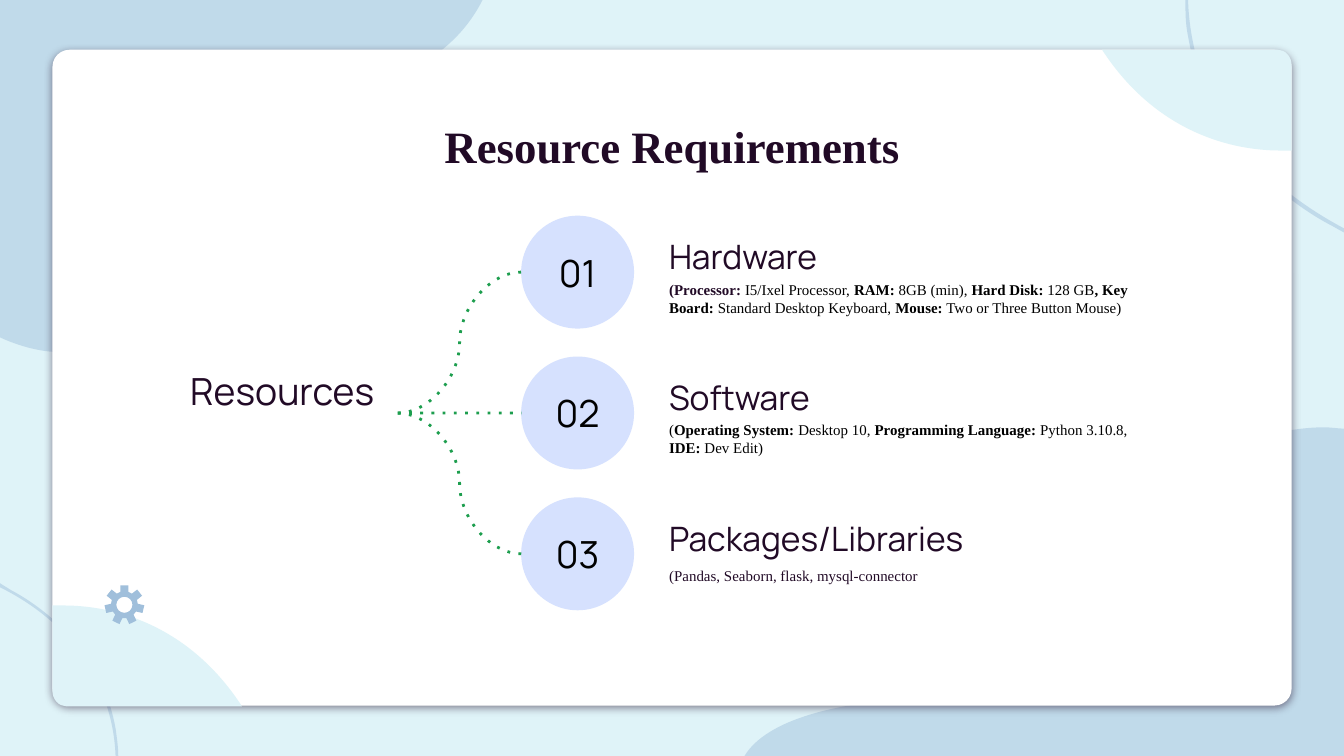
from math import cos, pi, sin
from lxml.etree import SubElement
from pptx import Presentation
from pptx.dml.color import RGBColor
from pptx.enum.shapes import MSO_CONNECTOR, MSO_SHAPE as SHAPE
from pptx.enum.text import MSO_ANCHOR as ANCHOR, PP_ALIGN as ALIGN
from pptx.oxml.ns import qn
from pptx.util import Inches, Pt

ICE = RGBColor(0xDF, 0xF3, 0xF8)
STEEL = RGBColor(0xA0, 0xBF, 0xDB)
WHITE = RGBColor(0xFF, 0xFF, 0xFF)
BLACK = RGBColor(0x00, 0x00, 0x00)
PLUM = RGBColor(0x21, 0x0A, 0x26)
LAVENDER = RGBColor(0xD6, 0xE1, 0xFE)
GREEN = RGBColor(0x1D, 0x9E, 0x4E)
SANS, SERIF = "Manrope", "Times New Roman"

prs = Presentation()
prs.slide_width, prs.slide_height = Inches(10), Inches(5.625)
CELL = prs.slide_width / 100  # square grid: 100 columns by 56.25 rows
BOTTOM = 56.25
slide = prs.slides.add_slide(prs.slide_layouts[6])
slide.background.fill.solid()
slide.background.fill.fore_color.rgb = ICE
shapes = slide.shapes


def write_text(text, box=None, shape=None, font=SANS, size=20, color=PLUM, lead_color=None,
               align=ALIGN.LEFT, anchor=ANCHOR.TOP, spacing=None):
    """Fill a shape, or a new text box, with text; ** switches bold on and off."""
    shape = shape or shapes.add_textbox(*[round(v * CELL) for v in box])
    frame = shape.text_frame
    frame.word_wrap, frame.vertical_anchor = True, anchor
    frame.margin_left = frame.margin_right = round(CELL)
    frame.margin_top = frame.margin_bottom = round(CELL)
    line = frame.paragraphs[0]
    line.alignment, line.line_spacing = align, spacing
    for i, part in enumerate(text.split("**")):
        if part:
            run = line.add_run()
            run.text = part
            run.font.name, run.font.size = font, Pt(size)
            run.font.bold, run.font.color.rgb = i % 2 == 1, color
    line.runs[0].font.color.rgb = lead_color or color


def draw_outline(contours, color, opacity=100):
    """Draw closed contours of points (x, y) and Bezier steps (x1, y1, x2, y2, x, y)."""
    builder = None
    for contour in contours:
        ends = [(step[-2] * CELL, step[-1] * CELL) for step in contour]
        if builder is None:
            builder = shapes.build_freeform(*ends[0], scale=1.0)
        else:
            builder.move_to(*ends[0])
        builder.add_line_segments(ends[1:], close=True)
    outline = builder.convert_to_shape()
    # Turn the straight segments of Bezier steps into true curves
    steps = [step for contour in contours for step in contour[1:]]
    for segment, step in zip(list(outline._element.iter(qn("a:lnTo"))), steps):
        if len(step) == 6:
            segment.tag = qn("a:cubicBezTo")
            for n in (0, 2):
                control = SubElement(segment, qn("a:pt"), x=str(round(step[n] * CELL) - outline.left),
                                     y=str(round(step[n + 1] * CELL) - outline.top))
                segment.insert(n // 2, control)
    outline.shadow.inherit = False
    outline.fill.solid()
    outline.fill.fore_color.rgb = color
    outline.line.fill.background()
    if opacity < 100:
        tint = outline._element.spPr.find(".//" + qn("a:srgbClr"))
        SubElement(tint, qn("a:alpha"), val=str(opacity * 1000))


# Background waves: two thin arcs and two large patches
top_right_arc = [(88.4, 0), (88.5, 3.6, 89.7, 7.3, 91.8, 10.2), (94, 13.1, 96.8, 15.3, 100, 17),
                 (100, 17.3), (99.6, 17.1, 99.3, 16.9, 98.9, 16.7), (96.3, 15.3, 94, 13.3, 92.1, 11),
                 (90.2, 8.6, 88.9, 5.7, 88.4, 2.7), (88.2, 1.8, 88.2, 0.9, 88.2, 0)]
top_left_patch = [(4.5, 26.2), (2.2, 26.2, 0, 25.1, 0, 25.1), (0, 0), (35.9, 0),
                  (31.3, 9.1, 17.1, 7.3, 11.2, 9.1), (5.3, 10.9, 11.8, 19.6, 8.6, 24.2),
                  (7.5, 25.8, 6, 26.2, 4.5, 26.2)]
bottom_right_patch = [(55.4, BOTTOM), (57, 53.6, 62.4, 51.9, 71.2, 51.9), (72.5, 51.9),
                      (85.7, 51.9, 80.1, 40.3, 89.9, 34.2),
                      (92.5, 32.6, 96, 31.8, 98.5, 31.8), (99.1, 31.8, 99.6, 31.9, 100, 31.9),
                      (100, BOTTOM)]
bottom_left_arc = [(8.6, BOTTOM), (8.5, 53.5, 7.6, 50.9, 6, 48.7), (4.5, 46.5, 2.4, 44.9, 0, 43.7),
                   (0, 43.4), (0.3, 43.6, 0.5, 43.7, 0.8, 43.9), (2.7, 44.9, 4.5, 46.4, 5.9, 48.1),
                   (7.3, 49.9, 8.2, 52, 8.6, 54.2), (8.7, 54.9, 8.8, 55.6, 8.8, BOTTOM)]
for wave in (top_right_arc, top_left_patch, bottom_right_patch, bottom_left_arc):
    draw_outline([wave], STEEL, opacity=48)

# White card with a soft shadow
card = shapes.add_shape(SHAPE.ROUNDED_RECTANGLE,
                        *[round(v * CELL) for v in (3.9, 3.7, 92.2, 48.8)])
card.adjustments[0] = 0.026
card.fill.solid()
card.fill.fore_color.rgb = WHITE
card.line.fill.background()
card.shadow.inherit = False
shadow = SubElement(card._element.spPr.find(qn("a:effectLst")), qn("a:outerShdw"),
                    blurRad=str(Pt(4.5)), dist=str(Pt(1.5)), dir="5400000",
                    algn="bl", rotWithShape="0")
shadow_color = SubElement(shadow, qn("a:srgbClr"), val=str(PLUM))
SubElement(shadow_color, qn("a:alpha"), val="50000")

# Card corners: the same curve, turned half round for the lower left
corner = [(82, 3.7), (85.7, 9.4, 91, 11.2, 95.3, 11.2), (95.6, 11.2, 95.8, 11.2, 96.1, 11.2),
          (96.1, 4.8), (96.1, 4.2, 95.6, 3.7, 95.1, 3.7)]
turned_corner = [tuple((100, BOTTOM)[i % 2] - v for i, v in enumerate(step)) for step in corner]
for contour in (turned_corner, corner):
    draw_outline([contour], ICE)

write_text("**Resource Requirements**", box=(7.8, 5.8, 84.4, 7.8), font=SERIF, size=24,
           align=ALIGN.CENTER, spacing=1.5)
write_text("Resources", box=(12.4, 25.9, 17.2, 9.7), align=ALIGN.CENTER, spacing=1.15)

# Numbered resources, each joined to the common label
resources = [
    ("Hardware", "**(Processor: **I5/Ixel Processor, **RAM:** 8GB (min), **Hard Disk: **128 GB"
     "**, Key Board:** Standard Desktop Keyboard, **Mouse:** Two or Three Button Mouse)",
     BLACK, PLUM, 3.8, 37.4, None),
    ("Software", "(**Operating System: **Desktop 10, **Programming Language: **Python 3.10.8, "
     "**IDE: **Dev Edit)", BLACK, BLACK, 3.8, 37.4, None),
    ("Packages/Libraries", "(Pandas, Seaborn, flask, mysql-connector",
     PLUM, PLUM, 4.2, 41.2, 1.15),
]
FIRST_ROW, PITCH, DISC = 16.05, 10.48, 8.4
for i, (heading, detail, color, lead_color, drop, width, spacing) in enumerate(resources):
    top = FIRST_ROW + i * PITCH
    disc = shapes.add_shape(SHAPE.OVAL, *[round(v * CELL) for v in (38.78, top, DISC, DISC)])
    disc.shadow.inherit = False
    disc.fill.solid()
    disc.fill.fore_color.rgb = LAVENDER
    disc.line.fill.background()
    write_text(f"{i + 1:02}", shape=disc, color=BLACK, align=ALIGN.CENTER, anchor=ANCHOR.MIDDLE)
    write_text(heading, box=(48.8, top - 0.2, 37.4, 5.7), size=18, anchor=ANCHOR.BOTTOM,
               spacing=1.15)
    write_text(detail, box=(48.8, top + drop, width, 4.2), font=SERIF, size=8,
               color=color, lead_color=lead_color, spacing=spacing)
    branch = shapes.add_connector(MSO_CONNECTOR.CURVE, *[
        round(v * CELL) for v in (29.6, 30.74, 38.8, top + DISC / 2)])
    branch.line.color.rgb, branch.line.width = GREEN, Pt(1.5)
    SubElement(branch.line._get_or_add_ln(), qn("a:prstDash"), val="dot")
    SubElement(branch._element.spPr, qn("a:effectLst"))

# Gear: seven teeth around a round hole
GEAR_X, GEAR_Y, TEETH = 9.26, 45, 7
teeth = [(GEAR_X + r * sin(2 * pi * n / TEETH + a), GEAR_Y - r * cos(2 * pi * n / TEETH + a))
         for n in range(TEETH)
         for r, a in ((1, -0.3), (1.48, -0.2), (1.48, 0.2), (1, 0.3))]
R, K = 0.6, 0.33  # radius and Bezier handle of the hole
quarters = [(0, -R), (K, -R, R, -K, R, 0), (R, K, K, R, 0, R),
            (-K, R, -R, K, -R, 0), (-R, -K, -K, -R, 0, -R)]
hole = [tuple((GEAR_X, GEAR_Y)[i % 2] + v for i, v in enumerate(step)) for step in quarters]
draw_outline([teeth, hole], STEEL)

prs.save("out.pptx")
